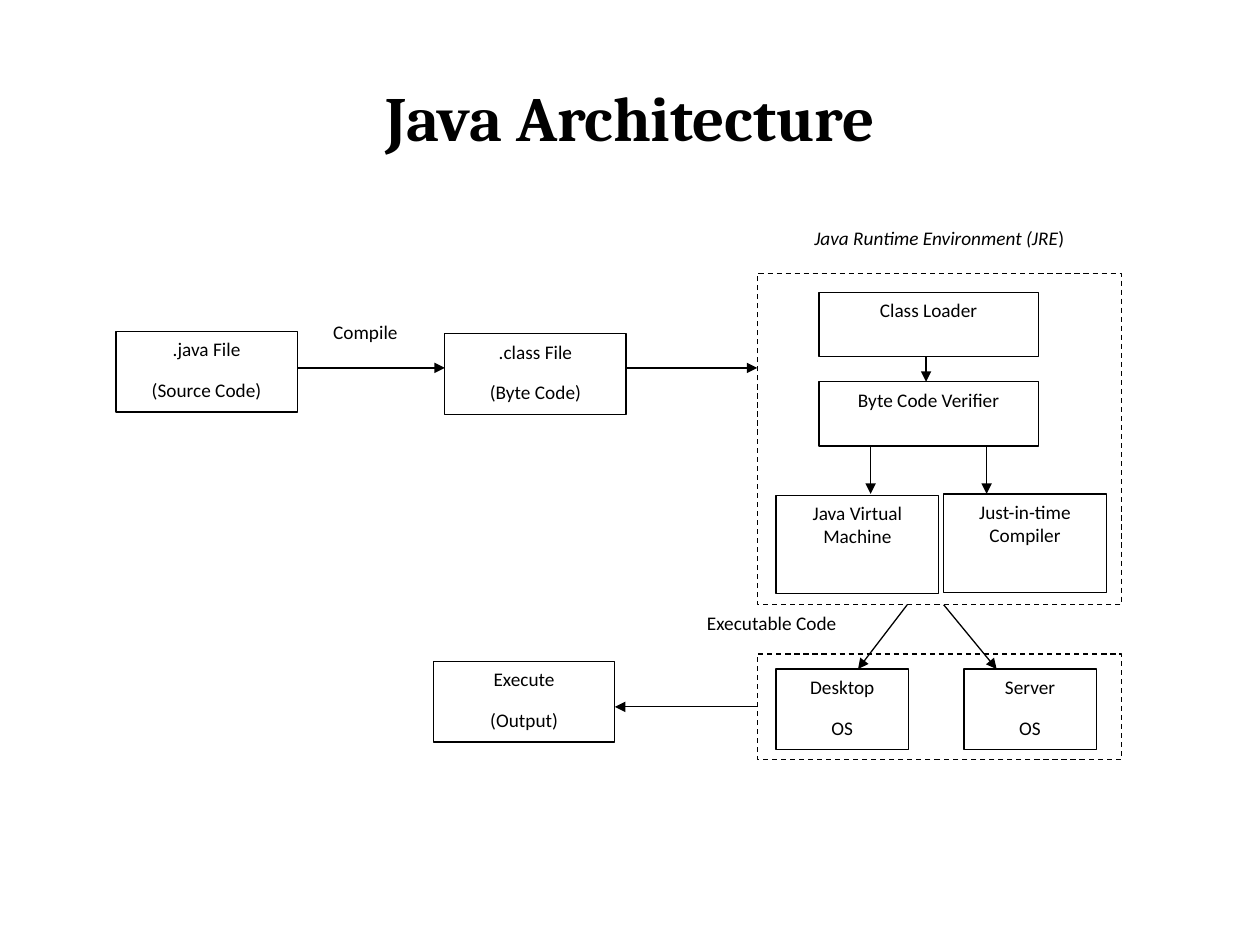
from lxml import etree
from pptx import Presentation
from pptx.dml.color import RGBColor
from pptx.enum.dml import MSO_LINE
from pptx.enum.shapes import MSO_CONNECTOR, MSO_SHAPE
from pptx.enum.text import MSO_ANCHOR, PP_ALIGN
from pptx.oxml.ns import qn
from pptx.util import Inches, Pt

RECT = MSO_SHAPE.RECTANGLE
STRAIGHT = MSO_CONNECTOR.STRAIGHT
DASH = MSO_LINE.DASH
CENTER = PP_ALIGN.CENTER
TOP, MIDDLE = MSO_ANCHOR.TOP, MSO_ANCHOR.MIDDLE

COLUMNS, ROWS = 100, 75
BLACK, WHITE = "000000", "FFFFFF"
LINE_WIDTH = 0.75
FILE_SIZE = (14.4, 6.4)
STEP_SIZE = (17.4, 5.1)
ENGINE_SIZE = (12.9, 7.8)
SYSTEM_SIZE = (10.5, 6.4)


def color(value):
    """Return the colour for a hex string."""
    return RGBColor.from_string(value)


def grid(page_size, *cells):
    """Turn alternating columns and rows into slide lengths."""
    units = (page_size[0] / COLUMNS, page_size[1] / ROWS)
    return [round(cell * units[index % 2]) for index, cell in enumerate(cells)]


def write(box, text, tail="", font="Calibri", size=11, bold=False,
          italic=False, anchor=TOP, after=10):
    """Fill a box with centred lines; the tail ends the last line upright."""
    frame = box.text_frame
    frame.word_wrap = True
    frame.vertical_anchor = anchor
    for index, line in enumerate(text.split("\n")):
        para = frame.add_paragraph() if index else frame.paragraphs[0]
        para.alignment = CENTER
        para.space_after = Pt(after)
        for words, slanted in ((line, italic), (tail, False)):
            if words:
                span = para.add_run()
                span.text = words
                span.font.name, span.font.size = font, Pt(size)
                span.font.bold, span.font.italic = bold, slanted
                span.font.color.rgb = color(BLACK)


class Board:
    """Places parts on a slide by columns and rows."""

    def __init__(self, page, page_size):
        self.shapes = page.shapes
        self.page_size = page_size

    def box(self, left, top, size, text="", dashed=False):
        """Add a white outlined box, with text if given."""
        box = self.shapes.add_shape(RECT, *grid(self.page_size, left, top, *size))
        box.shadow.inherit = False
        box.fill.solid()
        box.fill.fore_color.rgb = color(WHITE)
        box.line.color.rgb = color(BLACK)
        box.line.width = Pt(LINE_WIDTH)
        if dashed:
            box.line.dash_style = DASH
        if text:
            write(box, text)

    def label(self, left, top, size, text, **style):
        """Add free-standing text."""
        box = self.shapes.add_textbox(*grid(self.page_size, left, top, *size))
        write(box, text, **style)

    def arrow(self, *ends):
        """Add an arrow from the first point to the second."""
        arrow = self.shapes.add_connector(STRAIGHT, *grid(self.page_size, *ends))
        arrow.line.color.rgb = color(BLACK)
        arrow.line.width = Pt(LINE_WIDTH)
        outline = arrow.line._get_or_add_ln()
        etree.SubElement(outline, qn("a:tailEnd"), type="triangle")
        etree.SubElement(outline.getparent(), qn("a:effectLst"))


def add_title(page, page_size, left, top, size):
    """Place and format the slide title."""
    title = page.shapes.title
    title.left, title.top, title.width, title.height = grid(
        page_size, left, top, *size)
    write(title, "Java Architecture", font="Cambria", size=36, bold=True,
          anchor=MIDDLE, after=0)


def add_compilation(board, left, top):
    """Draw the source file, its compilation and the byte code."""
    width = FILE_SIZE[0]
    class_left = left + 26.1
    arrow_row = top + 2.9
    board.box(left, top, FILE_SIZE, ".java File\n(Source Code)")
    board.box(class_left, top + 0.2, FILE_SIZE, ".class File\n(Byte Code)")
    board.label(left + 12.6, top - 1.4, (width, 4.1), "Compile")
    board.arrow(left + width, arrow_row, class_left, arrow_row)
    board.arrow(class_left + width, arrow_row, left + 50.9, arrow_row)


def add_runtime(board, left, top, size):
    """Draw the runtime environment with its loader, verifier and engines."""
    step_left, verifier_top = left + 4.9, top + 8.6
    verifier_end, engine_top = verifier_top + STEP_SIZE[1], top + 17.5
    board.label(left, top - 4.2, (size[0], 4.2),
                "Java Runtime Environment (JRE", tail=")", italic=True)
    board.box(left, top, size, dashed=True)
    board.box(step_left, top + 1.5, STEP_SIZE, "Class Loader")
    board.box(step_left, verifier_top, STEP_SIZE, "Byte Code Verifier")
    board.box(left + 1.5, engine_top + 0.1, ENGINE_SIZE, "Java Virtual Machine")
    board.box(left + 14.8, engine_top, ENGINE_SIZE, "Just-in-time Compiler")
    board.arrow(left + 13.4, top + 6.6, left + 13.4, verifier_top)
    for column in (left + 9, left + 18.2):
        board.arrow(column, verifier_end, column, engine_top)


def add_systems(board, left, top, size):
    """Draw the operating systems, the code they receive and their output."""
    system_top, code_top = top + 1.2, top - 3.9
    output_left, output_row = left - 25.7, top + 4.2
    board.box(left, top, size, dashed=True)
    for offset, name in ((1.5, "Desktop"), (16.4, "Server")):
        board.box(left + offset, system_top, SYSTEM_SIZE, f"{name}\nOS")
    for start, end in ((11.9, 8), (14.8, 19)):
        board.arrow(left + start, code_top, left + end, system_top)
    board.label(left - 6.7, code_top, (15.7, 5.2), "Executable Code")
    board.box(output_left, top + 0.6, FILE_SIZE, "Execute\n(Output)")
    board.arrow(left, output_row, output_left + FILE_SIZE[0], output_row)


def main():
    """Build and save the deck."""
    deck = Presentation()
    deck.slide_width, deck.slide_height = Inches(10), Inches(7.5)
    page_size = (deck.slide_width, deck.slide_height)
    page = deck.slides.add_slide(deck.slide_layouts.get_by_name("Title Only"))
    board = Board(page, page_size)
    add_title(page, page_size, 5, 3, (90, 12.5))
    add_compilation(board, 9.2, 26.3)
    add_runtime(board, 60.1, 21.7, (28.9, 26.3))
    add_systems(board, 60.1, 51.9, (28.9, 8.4))
    deck.save("out.pptx")


if __name__ == "__main__":
    main()
